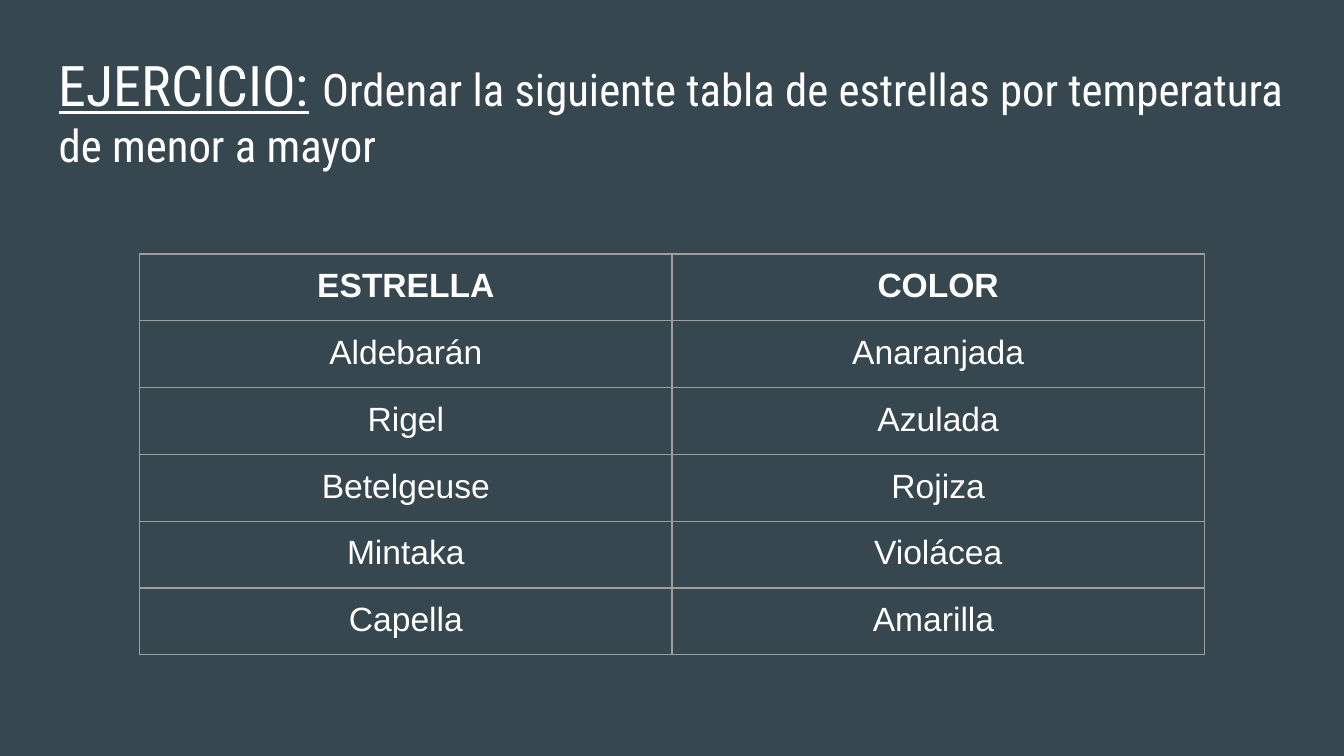
from lxml.etree import SubElement
from pptx import Presentation
from pptx.dml.color import RGBColor
from pptx.enum.text import MSO_ANCHOR, PP_ALIGN
from pptx.oxml.ns import qn
from pptx.util import Cm, Pt

SLATE = RGBColor(0x37, 0x47, 0x4F)
WHITE = RGBColor(0xFF, 0xFF, 0xFF)
GRAY = RGBColor(0x9E, 0x9E, 0x9E)
INSET = Cm(0.25)

STARS = [
    ("ESTRELLA", "COLOR"),
    ("Aldebarán", "Anaranjada"),
    ("Rigel", "Azulada"),
    ("Betelgeuse", "Rojiza"),
    ("Mintaka", "Violácea"),
    ("Capella", "Amarilla "),
]


def set_font(font, name, size):
    font.name = name
    font.size = Pt(size)
    font.color.rgb = WHITE


def set_inset(item):
    item.margin_left = item.margin_right = INSET
    item.margin_top = item.margin_bottom = INSET


def add_title(slide, left, top, width, height):
    frame = slide.shapes.add_textbox(left, top, width, height).text_frame
    frame.word_wrap = True
    frame.vertical_anchor = MSO_ANCHOR.TOP
    set_inset(frame)
    parts = [
        ("EJERCICIO:", 30, True),
        (" ", 30, False),
        ("Ordenar la siguiente tabla de estrellas por temperatura "
         "de menor a mayor", 24, False),
    ]
    for text, size, under in parts:
        run = frame.paragraphs[0].add_run()
        run.text = text
        set_font(run.font, "Roboto Condensed", size)
        run.font.underline = under


def add_border(cell):
    props = cell._tc.get_or_add_tcPr()
    for index, side in enumerate(("lnL", "lnR", "lnT", "lnB")):
        line = props.makeelement(qn(f"a:{side}"), {"w": str(Pt(0.75))})
        fill = SubElement(line, qn("a:solidFill"))
        SubElement(fill, qn("a:srgbClr"), val=str(GRAY))
        props.insert(index, line)


def add_stars(slide, left, top, width, height):
    shape = slide.shapes.add_table(
        len(STARS), len(STARS[0]), left, top, width, height)
    table = shape.table
    table.horz_banding = False
    for row, texts in enumerate(STARS):
        for col, text in enumerate(texts):
            cell = table.cell(row, col)
            cell.fill.background()
            set_inset(cell)
            add_border(cell)
            cell.text_frame.text = text
            para = cell.text_frame.paragraphs[0]
            para.alignment = PP_ALIGN.CENTER
            font = para.runs[0].font
            set_font(font, "Arial", 18)
            font.bold = row == 0


def main():
    deck = Presentation()
    deck.slide_width, deck.slide_height = Cm(25.4), Cm(14.29)
    slide = deck.slides.add_slide(deck.slide_layouts[6])
    slide.background.fill.solid()
    slide.background.fill.fore_color.rgb = SLATE
    add_title(slide, Cm(0.86), Cm(0.71), Cm(23.67), Cm(3.3))
    add_stars(slide, Cm(2.64), Cm(4.8), Cm(20.12), Cm(7.3))
    deck.save("out.pptx")


if __name__ == "__main__":
    main()
